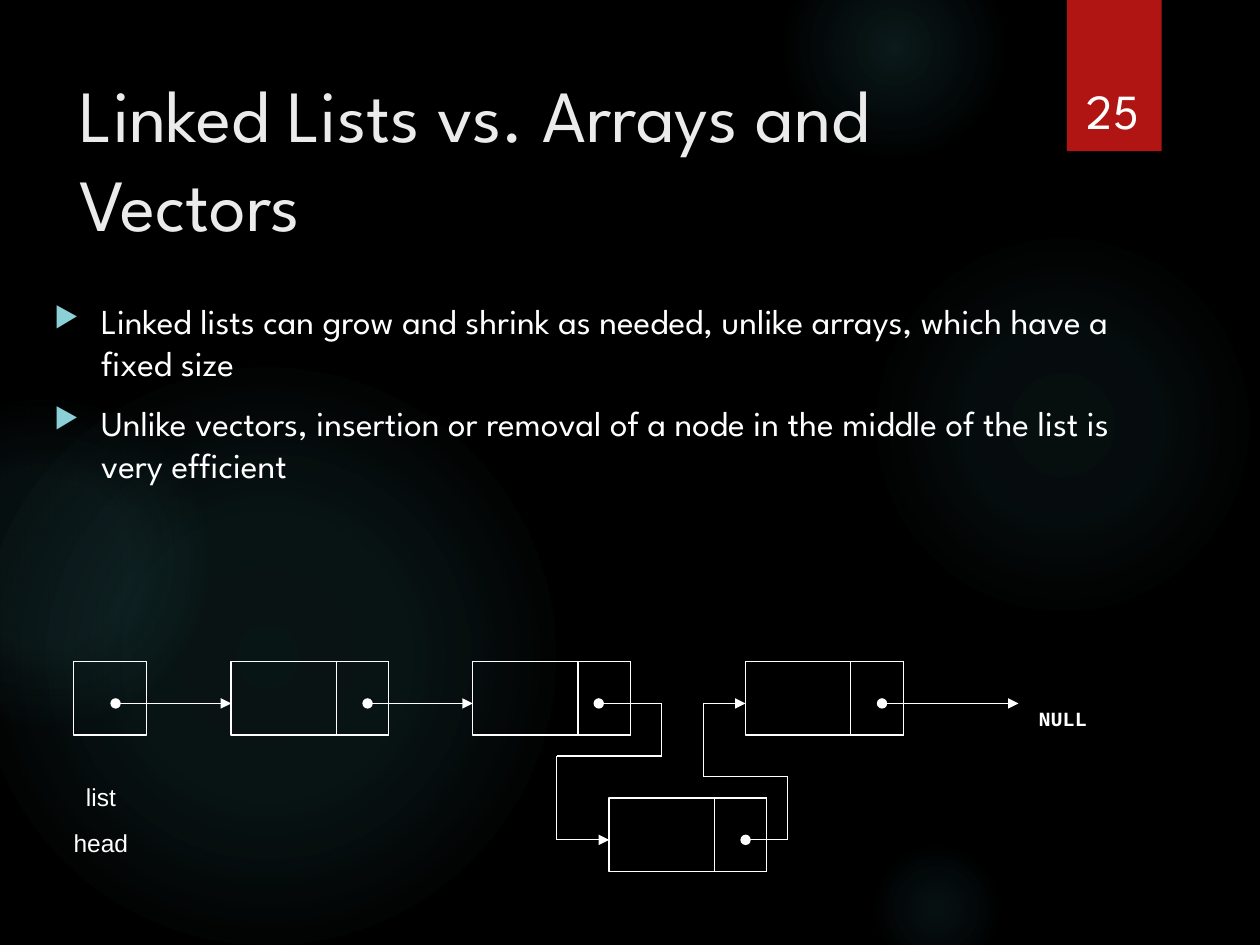
from itertools import pairwise

from lxml.etree import SubElement
from pptx import Presentation
from pptx.dml.color import RGBColor
from pptx.enum.shapes import MSO_CONNECTOR as Connector, MSO_SHAPE as Shape
from pptx.enum.text import MSO_ANCHOR as Anchor, MSO_AUTO_SIZE as AutoSize, PP_ALIGN as Align
from pptx.oxml import parse_xml
from pptx.oxml.ns import nsdecls, qn
from pptx.util import Cm, Pt

BLACK = RGBColor(0x00, 0x00, 0x00)
WHITE = RGBColor(0xFF, 0xFF, 0xFF)
TITLE_GREY = RGBColor(0xEB, 0xEB, 0xEB)
RED = RGBColor(0xB0, 0x15, 0x13)
GLOW = RGBColor(0x50, 0xB9, 0xC1)
BULLET = RGBColor(0x8A, 0xD0, 0xD6)
FONT = "League Spartan"

deck = Presentation()
deck.slide_width, deck.slide_height = Cm(25.4), Cm(19.05)
page = deck.slides.add_slide(deck.slide_layouts[5])
page.background.fill.solid()
page.background.fill.fore_color.rgb = BLACK


def add_box(kind, left, top, width, height):
    box = page.shapes.add_shape(kind, Cm(left), Cm(top), Cm(width), Cm(height))
    box.shadow.inherit = False
    box.fill.background()
    box.line.fill.background()
    return box


def write(box, lines, size, font, color=WHITE, align=Align.LEFT, anchor=Anchor.TOP):
    frame = box.text_frame
    frame.word_wrap = True
    frame.auto_size = AutoSize.NONE
    frame.vertical_anchor = anchor
    frame.text = "\n".join(lines)
    for para in frame.paragraphs:
        para.alignment = align
        para.font.size, para.font.name = Pt(size), font
        para.font.color.rgb = color
    return frame.paragraphs


# Background glows: left, top, diameter, then (position, opacity) in percent
glows = [
    (17.5, 4.65, 7.82, [(0, 7), (36, 6), (69, 0)]),
    (15.8, -1.27, 4.45, [(0, 14), (36, 7), (73, 0)]),
    (17.5, 16.94, 2.74, [(0, 9), (36, 5), (66, 0)]),
    (-0.43, 7.42, 11.63, [(0, 11), (36, 10), (75, 0)]),
    (-2.34, 8.05, 6.55, [(0, 8), (36, 8), (72, 0)]),
]
for left, top, size, stops in glows:
    glow = add_box(Shape.OVAL, left, top, size, size)
    stop_xml = "".join(
        f'<a:gs pos="{pos * 1000}"><a:srgbClr val="{GLOW}">'
        f'<a:alpha val="{alpha * 1000}"/></a:srgbClr></a:gs>'
        for pos, alpha in stops)
    gradient = parse_xml(
        f'<a:gradFill {nsdecls("a")} rotWithShape="1"><a:gsLst>{stop_xml}</a:gsLst>'
        '<a:path path="circle"><a:fillToRect l="50000" t="50000" r="50000" b="50000"/>'
        '</a:path></a:gradFill>')
    props = glow._element.spPr
    props.replace(props.find(qn("a:noFill")), gradient)

# Page number on its red tab
tab = add_box(Shape.RECTANGLE, 21.51, 0, 1.91, 3.05)
tab.fill.solid()
tab.fill.fore_color.rgb = RED
number = page.shapes.add_textbox(Cm(21.56), Cm(0.81), Cm(1.75), Cm(2.13))
write(number, ["25"], 28, FONT, align=Align.CENTER, anchor=Anchor.BOTTOM)

# Title, raised above the glows
title = page.shapes.title
title.left, title.top, title.width, title.height = Cm(1.35), Cm(1.27), Cm(19.61), Cm(3.89)
write(title, ["Linked Lists vs. Arrays and Vectors"], 42, FONT, TITLE_GREY)
title._element.getparent().append(title._element)

# Bulleted text
body = page.shapes.add_textbox(Cm(0.84), Cm(5.92), Cm(23.04), Cm(7.24))
points = [
    "Linked lists can grow and shrink as needed, unlike arrays, which have a fixed size",
    "Unlike vectors, insertion or removal of a node in the middle of the list is very efficient",
]
for para in write(body, points, 20, FONT):
    para.space_before = Pt(10)
    props = para._p.get_or_add_pPr()
    props.set("marL", str(Cm(0.95)))
    props.set("indent", str(-Cm(0.95)))
    color = SubElement(props, qn("a:buClr"))
    SubElement(color, qn("a:srgbClr"), val=str(BULLET))
    SubElement(props, qn("a:buSzPct"), val="80000")
    SubElement(props, qn("a:buChar"), char="▶")
    props.append(props.find(qn("a:defRPr")))

# List head and nodes, each node ending in a pointer cell
NODE_WIDTH, CELL_WIDTH, HEIGHT = 3.18, 1.06, 1.48
UPPER, LOWER = 13.34, 16.09
cells = [(1.48, UPPER, HEIGHT)]
for left, top in [(4.66, UPPER), (9.53, UPPER), (15.03, UPPER), (12.28, LOWER)]:
    cells += [(left, top, NODE_WIDTH),
              (left + NODE_WIDTH - CELL_WIDTH, top, CELL_WIDTH)]
for left, top, width in cells:
    cell = add_box(Shape.RECTANGLE, left, top, width, HEIGHT)
    cell.line.color.rgb = WHITE
    cell.line.width = Pt(0.75)

# Links: dot at the first point, arrowhead at the last
HIGH, LOW = 14.18, 16.93
links = [
    [(2.33, HIGH), (4.66, HIGH)],
    [(7.41, HIGH), (9.53, HIGH)],
    [(17.78, HIGH), (20.53, HIGH)],
    [(12.07, HIGH), (13.34, HIGH), (13.34, 15.24), (11.22, 15.24), (11.22, LOW), (12.28, LOW)],
    [(15.03, LOW), (15.88, LOW), (15.88, 15.66), (14.18, 15.66), (14.18, HIGH), (15.03, HIGH)],
]
for link in links:
    for start, end in pairwise(link):
        line = page.shapes.add_connector(Connector.STRAIGHT, *map(Cm, start + end))
        line.line.color.rgb = WHITE
        line.line.width = Pt(0.75)
        stroke = line.line._get_or_add_ln()
        if start == link[0]:
            SubElement(stroke, qn("a:headEnd"), type="oval")
        if end == link[-1]:
            SubElement(stroke, qn("a:tailEnd"), type="triangle")
        SubElement(line._element.spPr, qn("a:effectLst"))

# Labels
null = page.shapes.add_textbox(Cm(20.32), Cm(13.84), Cm(2.21), Cm(1.27))
write(null, ["NULL"], 11.5, "Courier New", align=Align.CENTER,
      anchor=Anchor.MIDDLE)[0].font.bold = True
head = page.shapes.add_textbox(Cm(0.84), Cm(15.75), Cm(2.39), Cm(1.88))
for para in write(head, ["list", "head"], 14, "Arial", align=Align.CENTER):
    para.line_spacing = 0.8
    para.space_before = Pt(13)

deck.save("out.pptx")
